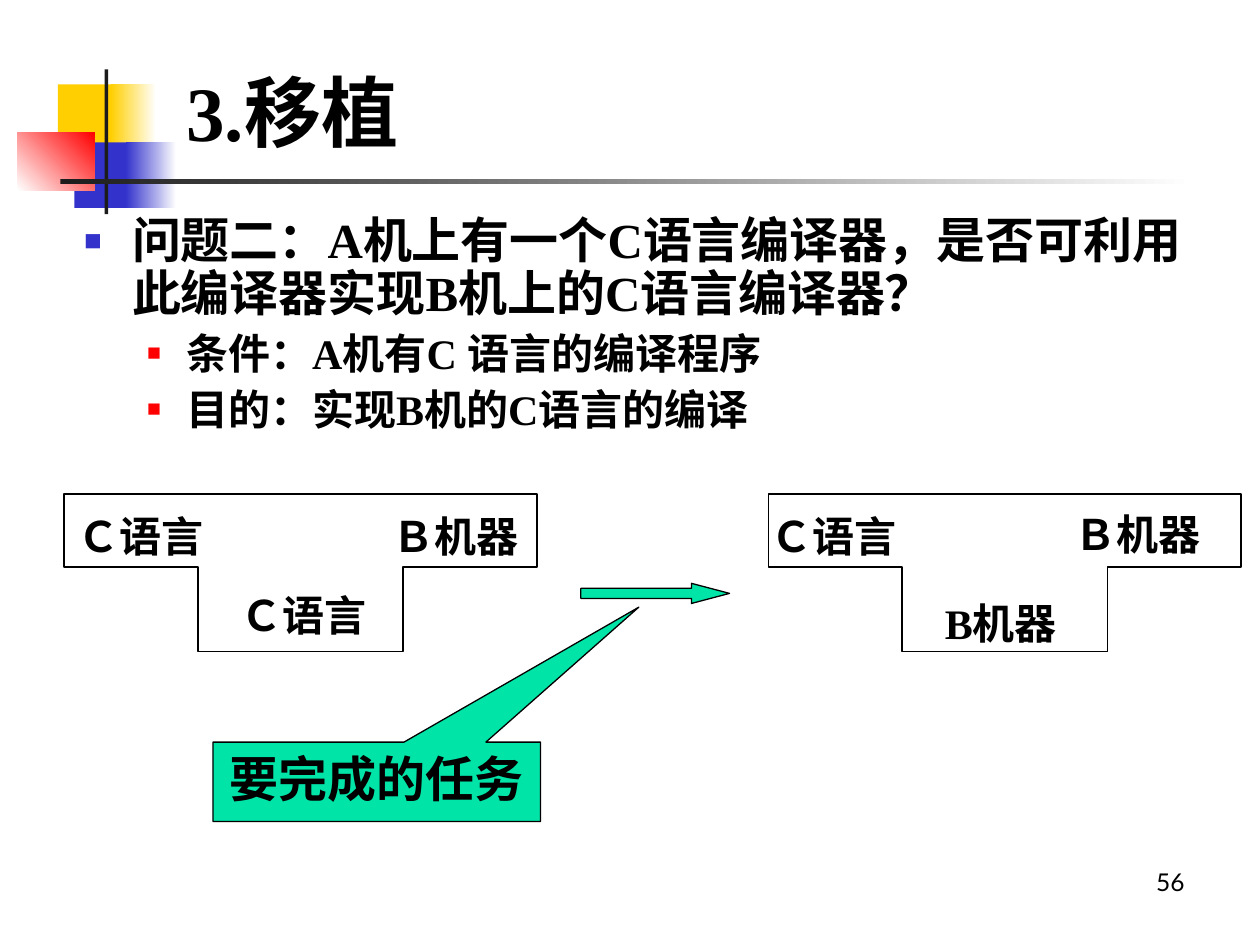
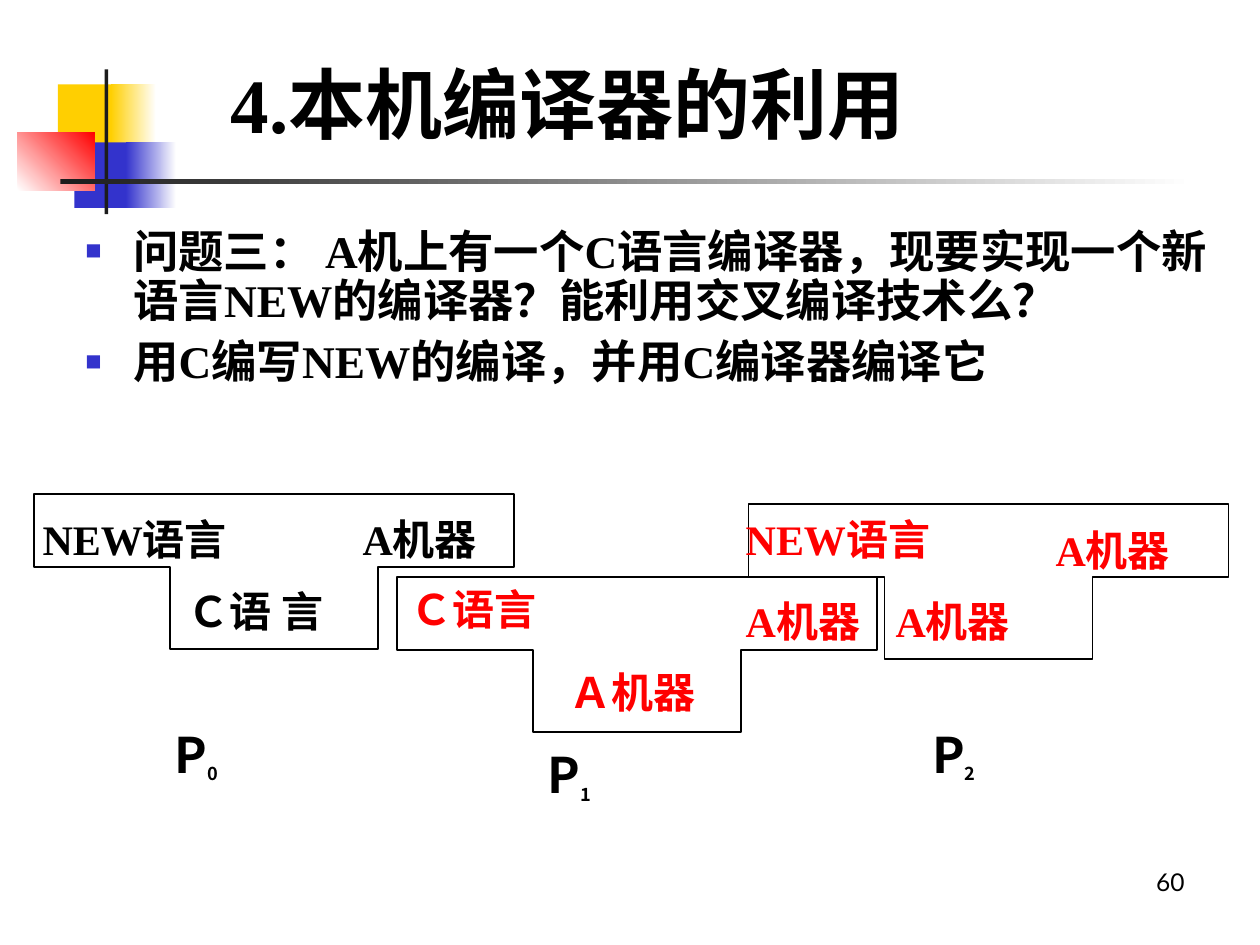
from lxml.etree import SubElement
from pptx import Presentation
from pptx.dml.color import RGBColor
from pptx.enum.shapes import MSO_SHAPE
from pptx.enum.text import MSO_ANCHOR, MSO_AUTO_SIZE, PP_ALIGN
from pptx.oxml.ns import qn
from pptx.util import Inches, Pt

BLACK, WHITE, RED, BLUE = "000000", "FFFFFF", "FF0000", "3333CC"
GOLD, DARK, GREEN = "FFCF01", "1C1C1C", "00E4A8"
SERIF, SANS, CJK = "Times New Roman", "Lato", "Noto Sans CJK SC"

# Shared band: place, first colour, last colour, angle
BAND = [
    ((0.46, 0.67, 0.48, 0.52), GOLD, None, 0),
    ((0.88, 0.67, 0.36, 0.52), GOLD, WHITE, 0),
    ((0.59, 1.13, 0.46, 0.52), BLUE, None, 0),
    ((1, 1.13, 0.4, 0.52), BLUE, WHITE, 0),
    ((0.14, 1.05, 0.61, 0.46), WHITE, RED, 45),
    ((0.83, 0.55, 0.03, 1.15), DARK, None, 0),
    ((0.48, 1.42, 9, 0.04), DARK, WHITE, 0),
]

# Bullet levels: left margin, hanging indent, space before, colour, size %
LEVELS = [(0.38, -0.38, 7, BLUE, 60), (0.81, -0.31, 6, RED, 55)]

# T diagrams: width, arm width, arm height, full height; then top-left corners
# Labels: text, left, top, width, colour
SLIDES = [
    {
        "page": "56",
        "title": ("3.移植", (1.38, 0.44, 7.4, 0.87)),
        "body": (0.57, 1.67, 9, 1.92),
        "points": [
            (0, 28, "问题二：A机上有一个C语言编译器，是否可利用此编译器实现B机上的C语言编译器？"),
            (1, 24, "条件：A机有C 语言的编译程序"),
            (1, 24, "目的：实现B机的C语言的编译"),
        ],
        "tee": (3.75, 1.06, 0.58, 1.25),
        "spots": [(0.51, 3.92), (6.1, 3.92)],
        "labels": [
            ("Ｃ语言", 0.52, 4, 1.2, BLACK),
            ("Ｃ语言", 1.81, 4.63, 1.2, BLACK),
            ("Ｂ机器", 3.02, 4, 1.2, BLACK),
            ("Ｃ语言", 6.02, 4, 1.2, BLACK),
            ("B机器", 7.4, 4.69, 1.2, BLACK),
            ("Ｂ机器", 8.43, 3.99, 1.2, BLACK),
        ],
        "stages": [],
    },
    {
        "page": "60",
        "title": ("4.本机编译器的利用", (1.73, 0.4, 8.05, 0.83)),
        "body": (0.58, 1.77, 9.33, 1.67),
        "points": [
            (0, 25.9, "问题三： A机上有一个C语言编译器，现要实现一个新语言NEW的编译器？能利用交叉编译技术么？"),
            (0, 25.9, "用C编写NEW的编译，并用C编译器编译它"),
        ],
        "tee": (3.81, 1.08, 0.58, 1.23),
        "spots": [(3.15, 4.58), (0.27, 3.92), (5.94, 4)],
        "labels": [
            ("NEW语言", 0.24, 4.03, 1.76, BLACK),
            ("Ｃ语 言", 1.39, 4.6, 1.35, BLACK),
            ("A机器", 2.78, 4.03, 1.22, BLACK),
            ("Ｃ语言", 3.16, 4.58, 1.2, RED),
            ("Ａ机器", 4.42, 5.24, 1.2, RED),
            ("A机器", 5.82, 4.68, 1.22, RED),
            ("NEW语言", 5.82, 4.03, 1.76, RED),
            ("A机器", 7.01, 4.68, 1.22, RED),
            ("A机器", 8.28, 4.11, 1.22, RED),
        ],
        "stages": [("0", 1.29, 5.65), ("1", 4.25, 5.81), ("2", 7.3, 5.65)],
    },
]
TASK = "要完成的任务"


def tint(code):
    return RGBColor.from_string(code)


def box(at):
    return [Inches(n) for n in at]


def add_run(para, text, size, color=BLACK, face=SERIF, bold=True):
    run = para.add_run()
    run.text = text
    font = run.font
    font.size, font.bold, font.name = Pt(size), bold, face
    font.color.rgb = tint(color)
    SubElement(font._element, qn("a:ea")).set("typeface", CJK)
    return run


def add_text(slide, at, wrap=True):
    frame = slide.shapes.add_textbox(*box(at)).text_frame
    frame.word_wrap = wrap
    return frame


def add_form(slide, kind, at, color, line=None):
    form = slide.shapes.add_shape(kind, *box(at))
    form.shadow.inherit = False
    form.fill.solid()
    form.fill.fore_color.rgb = tint(color)
    if line:
        form.line.color.rgb = tint(line)
        form.line.width = Pt(0.75)
    else:
        form.line.fill.background()
    return form


def add_band(slide):
    for at, first, last, angle in BAND:
        form = add_form(slide, MSO_SHAPE.RECTANGLE, at, first)
        if last:
            form.fill.gradient()
            form.fill.gradient_angle = angle
            for stop, color in zip(form.fill.gradient_stops, (first, last)):
                stop.color.rgb = tint(color)


def add_title(slide, text, at):
    title = slide.shapes.title
    title.left, title.top, title.width, title.height = box(at)
    frame = title.text_frame
    frame.auto_size = MSO_AUTO_SIZE.NONE
    frame.vertical_anchor = MSO_ANCHOR.MIDDLE
    para = frame.paragraphs[0]
    para.alignment = PP_ALIGN.LEFT
    add_run(para, text, 44)


def add_points(slide, at, points):
    frame = add_text(slide, at)
    for i, (level, size, text) in enumerate(points):
        para = frame.add_paragraph() if i else frame.paragraphs[0]
        left, hang, gap, color, scale = LEVELS[level]
        para.level, para.line_spacing = level, 0.9
        if i:
            para.space_before = Pt(gap)
        props = para._p.get_or_add_pPr()
        props.set("marL", str(Inches(left)))
        props.set("indent", str(Inches(hang)))
        hue = SubElement(props, qn("a:buClr"))
        SubElement(hue, qn("a:srgbClr")).set("val", color)
        SubElement(props, qn("a:buSzPct")).set("val", str(scale * 1000))
        SubElement(props, qn("a:buFont")).set("typeface", SERIF)
        SubElement(props, qn("a:buChar")).set("char", "■")
        add_run(para, text, size)


def add_tee(slide, left, top, size):
    wide, arm, drop, high = size
    marks = [(0, drop), (arm, drop), (arm, high), (wide - arm, high),
             (wide - arm, drop), (wide, drop), (wide, 0)]
    pen = slide.shapes.build_freeform(Inches(left), Inches(top))
    pen.add_line_segments([box((left + x, top + y)) for x, y in marks])
    tee = pen.convert_to_shape()
    tee.shadow.inherit = False
    tee.fill.background()
    tee.line.color.rgb = tint(BLACK)
    tee.line.width = Pt(1)


def add_label(slide, text, left, top, wide, color):
    frame = add_text(slide, (left, top, wide, 0.5), wrap=False)
    frame.auto_size = MSO_AUTO_SIZE.SHAPE_TO_FIT_TEXT
    add_run(frame.paragraphs[0], text, 24, color)


def add_stage(slide, index, left, top):
    para = add_text(slide, (left, top, 1.4, 0.63)).paragraphs[0]
    para.line_spacing = 1.1
    add_run(para, "P", 28, face=CJK)
    sub = add_run(para, index, 18, face=CJK)
    sub.font._element.set("baseline", "-25000")


def add_task(slide):
    arrow = add_form(slide, MSO_SHAPE.RIGHT_ARROW, (4.61, 4.63, 1.18, 0.16), GREEN, BLACK)
    arrow.adjustments[1] = 1.89
    note = add_form(slide, MSO_SHAPE.RECTANGULAR_CALLOUT, (1.69, 5.89, 2.6, 0.63), GREEN, BLACK)
    note.adjustments[0], note.adjustments[1] = 0.8, -2.2
    note.text_frame.vertical_anchor = MSO_ANCHOR.TOP
    para = note.text_frame.paragraphs[0]
    para.alignment = PP_ALIGN.CENTER
    add_run(para, TASK, 28, face=SANS)


def add_page(slide, number):
    para = add_text(slide, (7.17, 6.83, 2.33, 0.52)).paragraphs[0]
    para.alignment = PP_ALIGN.RIGHT
    add_run(para, number, 14, face=SANS, bold=False)


def main():
    deck = Presentation()
    deck.slide_width, deck.slide_height = Inches(10), Inches(7.5)
    for data in SLIDES:
        slide = deck.slides.add_slide(deck.slide_layouts[5])
        # Shared parts
        add_band(slide)
        add_page(slide, data["page"])
        add_title(slide, *data["title"])
        add_points(slide, data["body"], data["points"])
        # Diagram
        for left, top in data["spots"]:
            add_tee(slide, left, top, data["tee"])
        for label in data["labels"]:
            add_label(slide, *label)
        for stage in data["stages"]:
            add_stage(slide, *stage)
    # Task arrow and callout
    add_task(deck.slides[0])
    deck.save("out.pptx")


if __name__ == "__main__":
    main()
